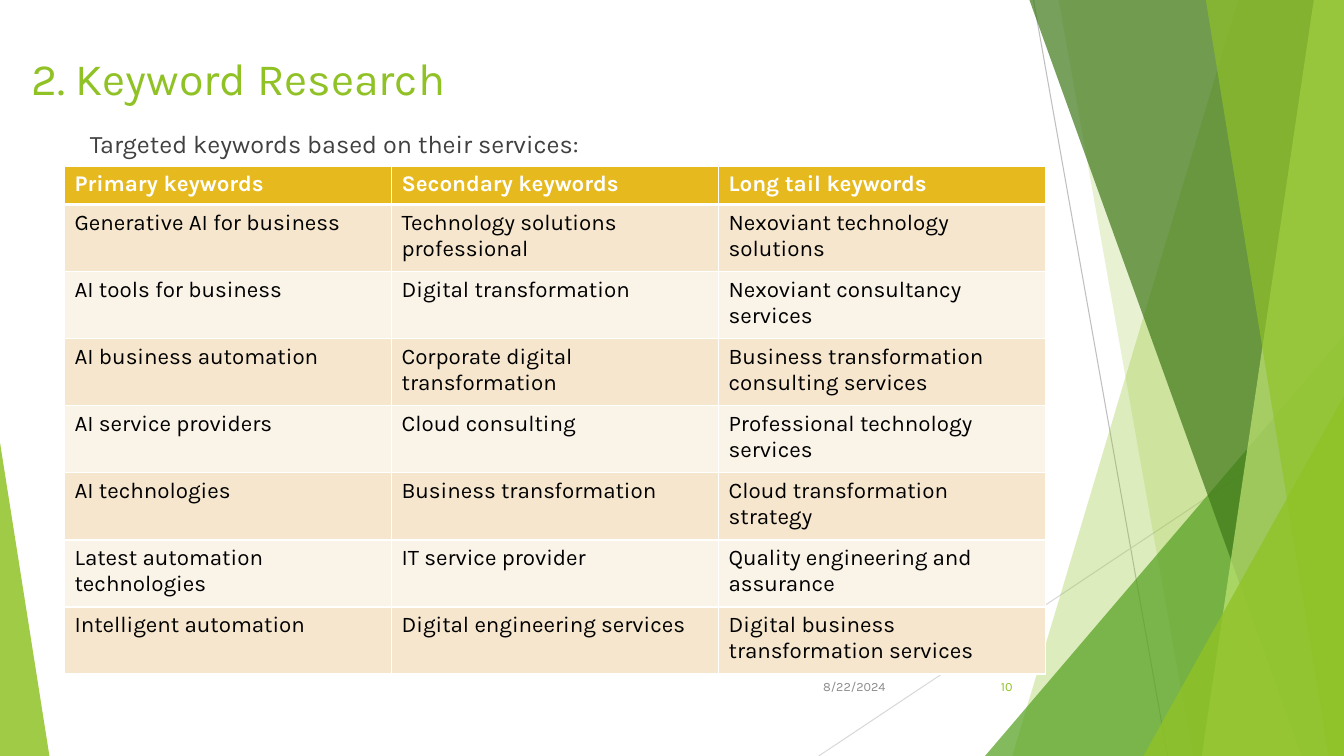
from pptx import Presentation
from pptx.dml.color import RGBColor
from pptx.enum.shapes import MSO_CONNECTOR, MSO_SHAPE
from pptx.enum.text import MSO_ANCHOR, PP_ALIGN
from pptx.oxml.ns import qn
from pptx.util import Inches, Pt
from lxml import etree

LEFT, RIGHT = PP_ALIGN.LEFT, PP_ALIGN.RIGHT
TOP, MIDDLE = MSO_ANCHOR.TOP, MSO_ANCHOR.MIDDLE
STRAIGHT, TRIANGLE = MSO_CONNECTOR.STRAIGHT, MSO_SHAPE.RIGHT_TRIANGLE
TRIANGLE = MSO_SHAPE.ISOSCELES_TRIANGLE

WIDTH, HEIGHT = 13.33, 7.5
FONT = "Karla"
COLORS = {
    "lime": "90C226", "green": "54A021", "forest": "3F7819", "pale": "C0E474",
    "line": "BFBFBF", "light line": "D9D9D9", "body": "404040", "date": "8C8C8C",
    "header": "E6B91E", "odd row": "F5E6CD", "even row": "FAF3E8",
    "white": "FFFFFF", "black": "000000",
}

# Content
KEYWORDS = [
    ("Primary keywords", "Secondary keywords", "Long tail keywords"),
    ("Generative AI for business", "Technology solutions professional",
     "Nexoviant technology solutions"),
    ("AI tools for business", "Digital transformation", "Nexoviant consultancy services"),
    ("AI business automation", "Corporate digital transformation",
     "Business transformation consulting services"),
    ("AI service providers", "Cloud consulting", "Professional technology services"),
    ("AI technologies", "Business transformation", "Cloud transformation strategy"),
    ("Latest automation technologies", "IT service provider",
     "Quality engineering and assurance"),
    ("Intelligent automation", "Digital engineering services",
     "Digital business transformation services"),
]
# Text, box, left inset, size, color, alignment, anchor
TEXTS = [
    ("2. Keyword Research", (0, 0.4, 9.93, 0.73), 0.31, 32, "lime", LEFT, MIDDLE),
    ("Targeted keywords based on their services:", (0.67, 1.22, 11.65, 5.67), 0.22, 18,
     "body", LEFT, TOP),
    ("8/22/2024", (7.88, 6.61, 1, 0.4), 0.1, 9, "date", RIGHT, MIDDLE),
    ("10", (9.39, 6.61, 0.75, 0.4), 0.1, 9, "lime", RIGHT, MIDDLE),
]
# Start, end, color
THIN_LINES = [
    ((10.25, 0), (11.58, HEIGHT), "line"),
    ((WIDTH, 4.03), (8.12, HEIGHT), "light line"),
]
# Bands reach the right edge: (top x, bottom x); triangles stand on the
# bottom edge: (left, width, height, apex share). Then color and opacity.
FACETS = [
    ((12.28, 10.04), "lime", 30),
    ((10.5, 11.83), "lime", 20),
    ((9.77, 3.56, 4.17, 1), "green", 72),
    ((10.21, 12.91), "forest", 70),
    ((13.03, 11.92), "pale", 70),
    ((11.96, 13.18), "lime", 65),
    ((11.34, 1.99, 3.57, 1), "lime", 80),
    ((0, 0.49, 3.11, 0), "lime", 85),
]
TABLE_BOX = (0.64, 1.65, 9.73, 5.04)
HEADER_HEIGHT = 0.38


def rgb(name):
    return RGBColor.from_string(COLORS[name])


def inches(values):
    return [Inches(value) for value in values]


def add_run(paragraph, text, size, color, bold=False):
    run = paragraph.add_run()
    run.text = text
    run.font.name, run.font.size, run.font.bold = FONT, Pt(size), bold
    run.font.color.rgb = rgb(color)


def add_thin_line(slide, start, end, color):
    line = slide.shapes.add_connector(STRAIGHT, *inches(start + end))
    line.line.color.rgb = rgb(color)
    line.line.width = Pt(0.75)
    etree.SubElement(line.element.spPr, qn("a:effectLst"))


def add_facet(slide, geometry, color, opacity):
    if len(geometry) == 2:
        top_x, bottom_x = geometry
        builder = slide.shapes.build_freeform(Inches(top_x), 0, scale=1.0)
        corners = [(WIDTH, 0), (WIDTH, HEIGHT), (bottom_x, HEIGHT)]
        builder.add_line_segments([inches(corner) for corner in corners], close=True)
        shape = builder.convert_to_shape()
    else:
        left, width, height, apex = geometry
        shape = slide.shapes.add_shape(
            TRIANGLE, *inches((left, HEIGHT - height, width, height)))
        shape.adjustments[0] = apex
    shape.shadow.inherit = False
    shape.line.fill.background()
    shape.fill.solid()
    shape.fill.fore_color.rgb = rgb(color)
    fill_color = shape.element.xpath("./p:spPr/a:solidFill/a:srgbClr")[0]
    etree.SubElement(fill_color, qn("a:alpha"), val=str(opacity * 1000))


def add_text(slide, text, box, inset, size, color, alignment, anchor):
    frame = slide.shapes.add_textbox(*inches(box)).text_frame
    frame.word_wrap = True
    frame.margin_left = Inches(inset)
    frame.vertical_anchor = anchor
    paragraph = frame.paragraphs[0]
    paragraph.alignment = alignment
    add_run(paragraph, text, size, color)


def add_borders(cell, row):
    properties = cell._tc.get_or_add_tcPr()
    widths = {"L": 1, "R": 1, "T": 3 if row == 1 else 1, "B": 3 if row == 0 else 1}
    for side, width in widths.items():
        border = etree.SubElement(properties, qn("a:ln" + side), w=str(Pt(width)))
        fill = etree.SubElement(border, qn("a:solidFill"))
        etree.SubElement(fill, qn("a:srgbClr"), val=COLORS["white"])


def add_keyword_table(slide):
    row_count, column_count = len(KEYWORDS), len(KEYWORDS[0])
    table = slide.shapes.add_table(row_count, column_count, *inches(TABLE_BOX)).table
    row_height = (TABLE_BOX[3] - HEADER_HEIGHT) / (row_count - 1)
    for column in table.columns:
        column.width = Inches(TABLE_BOX[2] / column_count)
    for row, texts in enumerate(KEYWORDS):
        is_header = row == 0
        table.rows[row].height = Inches(HEADER_HEIGHT if is_header else row_height)
        fill = "header" if is_header else ("odd row" if row % 2 else "even row")
        for column, text in enumerate(texts):
            cell = table.cell(row, column)
            add_borders(cell, row)
            cell.fill.solid()
            cell.fill.fore_color.rgb = rgb(fill)
            add_run(cell.text_frame.paragraphs[0], text, 16,
                    "white" if is_header else "black", is_header)


def main():
    presentation = Presentation()
    presentation.slide_width, presentation.slide_height = inches((WIDTH, HEIGHT))
    slide = presentation.slides.add_slide(presentation.slide_layouts[6])

    # Backdrop
    for thin_line in THIN_LINES:
        add_thin_line(slide, *thin_line)
    for facet in FACETS:
        add_facet(slide, *facet)

    # Title, lead-in and footer, then the table
    for text in TEXTS:
        add_text(slide, *text)
    add_keyword_table(slide)

    presentation.save("out.pptx")


if __name__ == "__main__":
    main()
